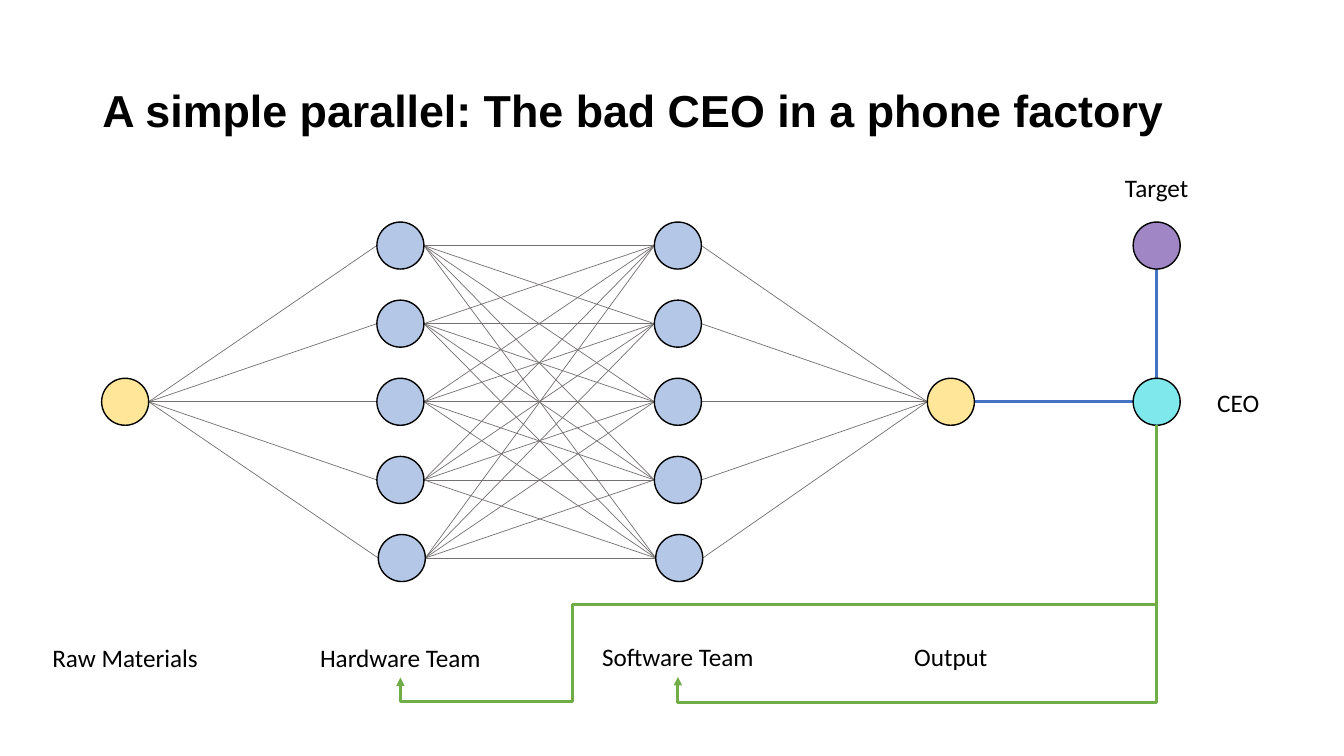
import itertools

import pptx
import pptx.dml.color
import pptx.enum.shapes
import pptx.enum.text
import pptx.oxml.ns
import pptx.util
from lxml import etree

Pt = pptx.util.Pt

# Content
TITLE = "A simple parallel: The bad CEO in a phone factory"
COLORS = {
    "black": "000000", "materials": "FFE699", "team": "B4C7E7",
    "target": "A086C4", "ceo": "7EE8EC", "weight": "767171",
    "compare": "4472C4", "feedback": "70AD47",
}
DIAMETER = 33.6
RADIUS = DIAMETER / 2
ROWS = [175.4 + 55.8 * row for row in range(5)]
TOP, MIDDLE = ROWS[0], ROWS[2]
RAW_X, HARDWARE_X, SOFTWARE_X, OUTPUT_X, CEO_X = 89.4, 286, 484.2, 679.2, 826.2

# Layers of node centres; the lowest node of each team sits one point right
raw = [(RAW_X, MIDDLE)]
hardware, software = [
    [(x + (1 if y == ROWS[-1] else 0), y) for y in ROWS]
    for x in (HARDWARE_X, SOFTWARE_X)
]
output = [(OUTPUT_X, MIDDLE)]
ceo, target = (CEO_X, MIDDLE), (CEO_X, TOP)

NODES = [
    (raw + output, "materials"), (hardware + software, "team"),
    ([target], "target"), ([ceo], "ceo"),
]
LABELS = [  # text, centre, top
    ("Target", CEO_X, 119.5), ("CEO", 884.5, 273),
    ("Raw Materials", RAW_X, 455), ("Hardware Team", HARDWARE_X, 455),
    ("Software Team", SOFTWARE_X, 454.4), ("Output", OUTPUT_X, 454.4),
]
LABEL_WIDTH, LABEL_HEIGHT = 150.4, 29
# Feedback arrows: preset, box (left, top, width, height), turn and flip, bends
FEEDBACK = [
    ("bentConnector3", (565.2, 222.6, 180, 342),
     {"rot": "5400000"}, [110000]),
    ("bentConnector4", (286, 432, 540.2, 52),
     {"rot": "10800000", "flipV": "1"}, [77300, 133200]),
]

presentation = pptx.Presentation()
presentation.slide_width, presentation.slide_height = Pt(960), Pt(540)
slide = presentation.slides.add_slide(presentation.slide_layouts[6])


def rgb(name):
    return pptx.dml.color.RGBColor.from_string(COLORS[name])


def add_text(text, left, top, width, height, size, font, bold=False, align="LEFT"):
    frame = slide.shapes.add_textbox(Pt(left), Pt(top), Pt(width), Pt(height)).text_frame
    frame.word_wrap = True
    frame.vertical_anchor = pptx.enum.text.MSO_ANCHOR.MIDDLE
    paragraph = frame.paragraphs[0]
    paragraph.alignment = getattr(pptx.enum.text.PP_ALIGN, align)
    run = paragraph.add_run()
    run.text = text
    run.font.size, run.font.name, run.font.bold = Pt(size), font, bold
    run.font.color.rgb = rgb("black")
    return paragraph


def add_line(start, end, color, width, kind="STRAIGHT"):
    connector = slide.shapes.add_connector(
        getattr(pptx.enum.shapes.MSO_CONNECTOR, kind),
        *[Pt(value) for value in (*start, *end)])
    connector.line.color.rgb = rgb(color)
    connector.line.width = Pt(width)
    properties = connector._element.spPr
    etree.SubElement(properties, pptx.oxml.ns.qn("a:effectLst"))
    return properties


def add_feedback(preset, box, transform, bends):
    left, top, width, height = box
    properties = add_line((left, top), (left + width, top + height),
                          "feedback", 2, "ELBOW")
    for name, value in transform.items():
        properties.find(pptx.oxml.ns.qn("a:xfrm")).set(name, value)
    geometry = properties.find(pptx.oxml.ns.qn("a:prstGeom"))
    geometry.set("prst", preset)
    guides = geometry.find(pptx.oxml.ns.qn("a:avLst"))
    for number, bend in enumerate(bends, 1):
        etree.SubElement(guides, pptx.oxml.ns.qn("a:gd"),
                         name=f"adj{number}", fmla=f"val {bend}")
    etree.SubElement(properties.find(pptx.oxml.ns.qn("a:ln")),
                     pptx.oxml.ns.qn("a:tailEnd"), type="triangle")


# Title
title = add_text(TITLE, 66, 28.8, 828, 104.4, 32, "Arial", bold=True)
title.line_spacing = 0.9

# Links between neighbouring layers
for before, after in ((raw, hardware), (hardware, software), (software, output)):
    for (x1, y1), (x2, y2) in itertools.product(before, after):
        add_line((x1 + RADIUS, y1), (x2 - RADIUS, y2), "weight", 0.5)

# The CEO compares output and target
add_line((OUTPUT_X + RADIUS, MIDDLE), (CEO_X - RADIUS, MIDDLE), "compare", 2)
add_line((CEO_X, MIDDLE - RADIUS), (CEO_X, TOP + RADIUS), "compare", 2)

# Nodes
for centres, color in NODES:
    for x, y in centres:
        node = slide.shapes.add_shape(
            pptx.enum.shapes.MSO_SHAPE.OVAL,
            Pt(x - RADIUS), Pt(y - RADIUS), Pt(DIAMETER), Pt(DIAMETER))
        node.shadow.inherit = False
        node.fill.solid()
        node.fill.fore_color.rgb = rgb(color)
        node.line.color.rgb = rgb("black")
        node.line.width = Pt(1)

# Labels
for text, centre, top in LABELS:
    add_text(text, centre - LABEL_WIDTH / 2, top, LABEL_WIDTH, LABEL_HEIGHT,
             18, "Calibri", align="CENTER")

# Feedback to the teams
for arrow in FEEDBACK:
    add_feedback(*arrow)

presentation.save("out.pptx")
